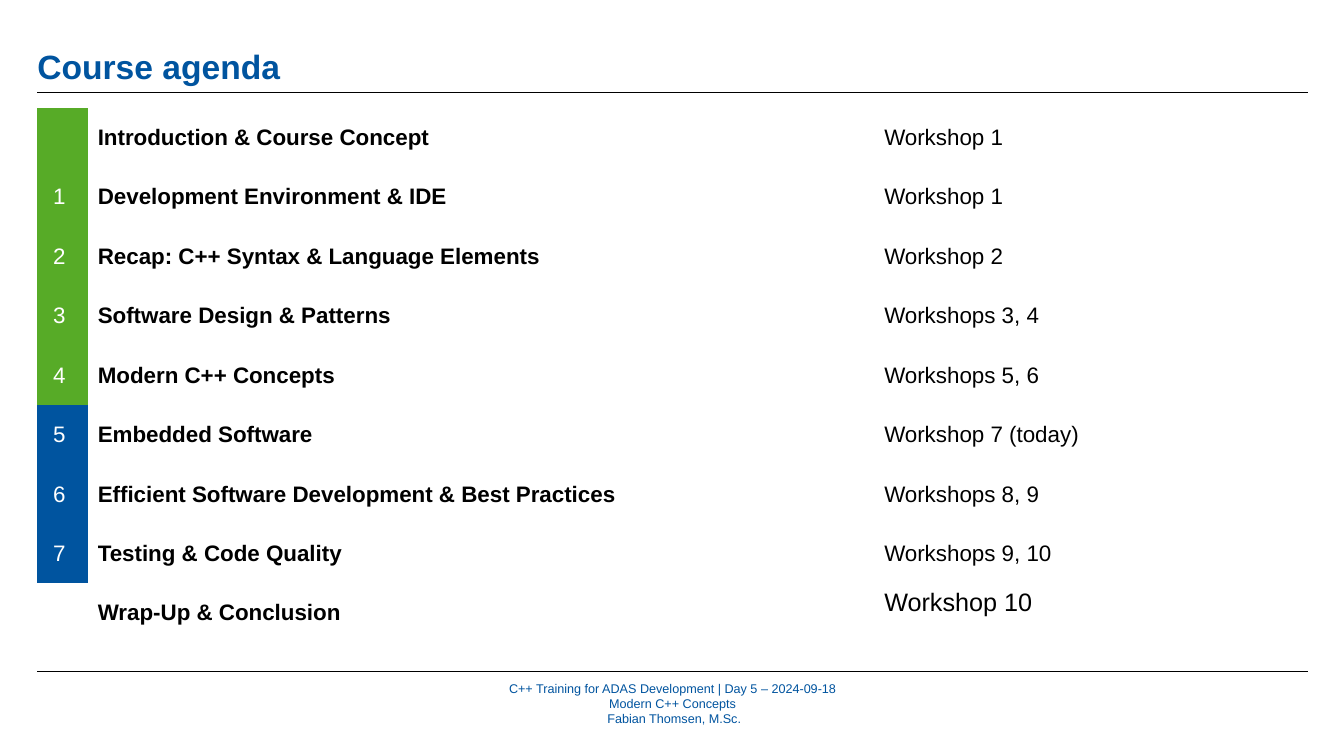
from lxml.etree import SubElement
from pptx import Presentation
from pptx.dml.color import RGBColor
from pptx.enum.shapes import MSO_CONNECTOR
from pptx.enum.text import MSO_ANCHOR, PP_ALIGN
from pptx.oxml.ns import qn
from pptx.util import Inches, Pt

BLUE = RGBColor(0x00, 0x54, 0x9F)
GREEN = RGBColor(0x57, 0xAB, 0x27)
BLACK = RGBColor(0, 0, 0)
WHITE = RGBColor(255, 255, 255)
PLAIN_TABLE = "{2D5ABB26-0587-4C30-8999-92F81FD0307C}"

LEFT, WIDTH = 0.37, 12.6
COLUMNS = (0.5, 7.8, 4.3)
ROW_HEIGHT = 0.59
AGENDA = [
    ("", "Introduction & Course Concept", "Workshop 1", GREEN),
    ("1 ", "Development Environment & IDE", "Workshop 1", GREEN),
    ("2 ", "Recap: C++ Syntax & Language Elements", "Workshop 2", GREEN),
    ("3 ", "Software Design & Patterns", "Workshops 3, 4", GREEN),
    ("4 ", "Modern C++ Concepts", "Workshops 5, 6", GREEN),
    ("5 ", "Embedded Software", "Workshop 7 (today)", BLUE),
    ("6 ", "Efficient Software Development & Best Practices", "Workshops 8, 9", BLUE),
    ("7 ", "Testing & Code Quality", "Workshops 9, 10", BLUE),
    ("", "Wrap-Up & Conclusion", "Workshop 10", None),
]
FOOTER = (
    "C++ Training for ADAS Development | Day 5 – 2024-09-18\n"
    "Modern C++ Concepts\n"
    " Fabian Thomsen, M.Sc."
)


def format_text(frame, size, color, bold=False, align=PP_ALIGN.LEFT, space=0):
    """Give every paragraph in a text frame the same look."""
    for para in frame.paragraphs:
        para.alignment = align
        para.space_before = para.space_after = Pt(space)
        for span in para.runs:
            span.font.name = "Arial"
            span.font.size = Pt(size)
            span.font.bold = bold
            span.font.color.rgb = color


def clear_margins(frame, anchor):
    """Remove the insets of a text frame and set its anchor."""
    frame.margin_left = frame.margin_right = 0
    frame.margin_top = frame.margin_bottom = 0
    frame.word_wrap = True
    frame.vertical_anchor = anchor


def add_rule(page, left, top, width):
    """Draw a thin horizontal rule."""
    rule = page.shapes.add_connector(
        MSO_CONNECTOR.STRAIGHT, Inches(left), Inches(top), Inches(left + width), Inches(top)
    )
    rule.line.color.rgb = BLACK
    rule.line.width = Pt(0.5)
    SubElement(rule._element.spPr, qn("a:effectLst"))


def add_title(page, left, top, width, height):
    """Place the page title with a rule below it."""
    title = page.shapes.title
    title.left, title.top = Inches(left), Inches(top)
    title.width, title.height = Inches(width), Inches(height)
    title.text_frame.text = "Course agenda"
    clear_margins(title.text_frame, MSO_ANCHOR.BOTTOM)
    format_text(title.text_frame, 24, BLUE, bold=True)
    add_rule(page, left, top + height + 0.06, width)


def add_agenda(page, left, top, width):
    """Place the agenda table with its coloured progress column."""
    frame = page.shapes.add_table(
        len(AGENDA), len(COLUMNS), Inches(left), Inches(top),
        Inches(width), Inches(ROW_HEIGHT * len(AGENDA)),
    )
    table = frame.table
    table.first_row = table.horz_banding = False
    for style in frame._element.iter(qn("a:tableStyleId")):
        style.text = PLAIN_TABLE
    for column, size in zip(table.columns, COLUMNS):
        column.width = Inches(size)
    for row, (number, topic, workshop, color) in zip(table.rows, AGENDA):
        row.height = Inches(ROW_HEIGHT)
        for cell, text in zip(row.cells, (number, topic, workshop)):
            cell.text_frame.text = text
            cell.vertical_anchor = MSO_ANCHOR.MIDDLE
            cell.fill.background()
        number_cell, topic_cell, workshop_cell = row.cells
        if color is not None:
            number_cell.fill.solid()
            number_cell.fill.fore_color.rgb = color
        format_text(number_cell.text_frame, 16, WHITE, align=PP_ALIGN.CENTER)
        format_text(topic_cell.text_frame, 16, BLACK, bold=True, space=6)
        format_text(workshop_cell.text_frame, 16, BLACK, space=6)
    last_cell = table.cell(len(AGENDA) - 1, 2)
    last_cell.vertical_anchor = MSO_ANCHOR.TOP
    format_text(last_cell.text_frame, 18, BLACK, space=6)


def add_footer(page, left, top, width):
    """Place the footer rule and the centred course details."""
    add_rule(page, left, top, width)
    box_width = 6.47
    box = page.shapes.add_textbox(
        Inches(left + (width - box_width) / 2), Inches(top + 0.09),
        Inches(box_width), Inches(0.46),
    )
    box.text_frame.text = FOOTER
    clear_margins(box.text_frame, MSO_ANCHOR.MIDDLE)
    format_text(box.text_frame, 9, BLUE, align=PP_ALIGN.CENTER)


def main():
    """Build and save the agenda slide."""
    deck = Presentation()
    deck.slide_width, deck.slide_height = Inches(13.33), Inches(7.5)
    page = deck.slides.add_slide(deck.slide_layouts[5])
    add_title(page, LEFT, 0.05, WIDTH, 0.81)
    add_agenda(page, LEFT, 1.07, WIDTH)
    add_footer(page, LEFT, 6.66, WIDTH)
    deck.save("out.pptx")


if __name__ == "__main__":
    main()
